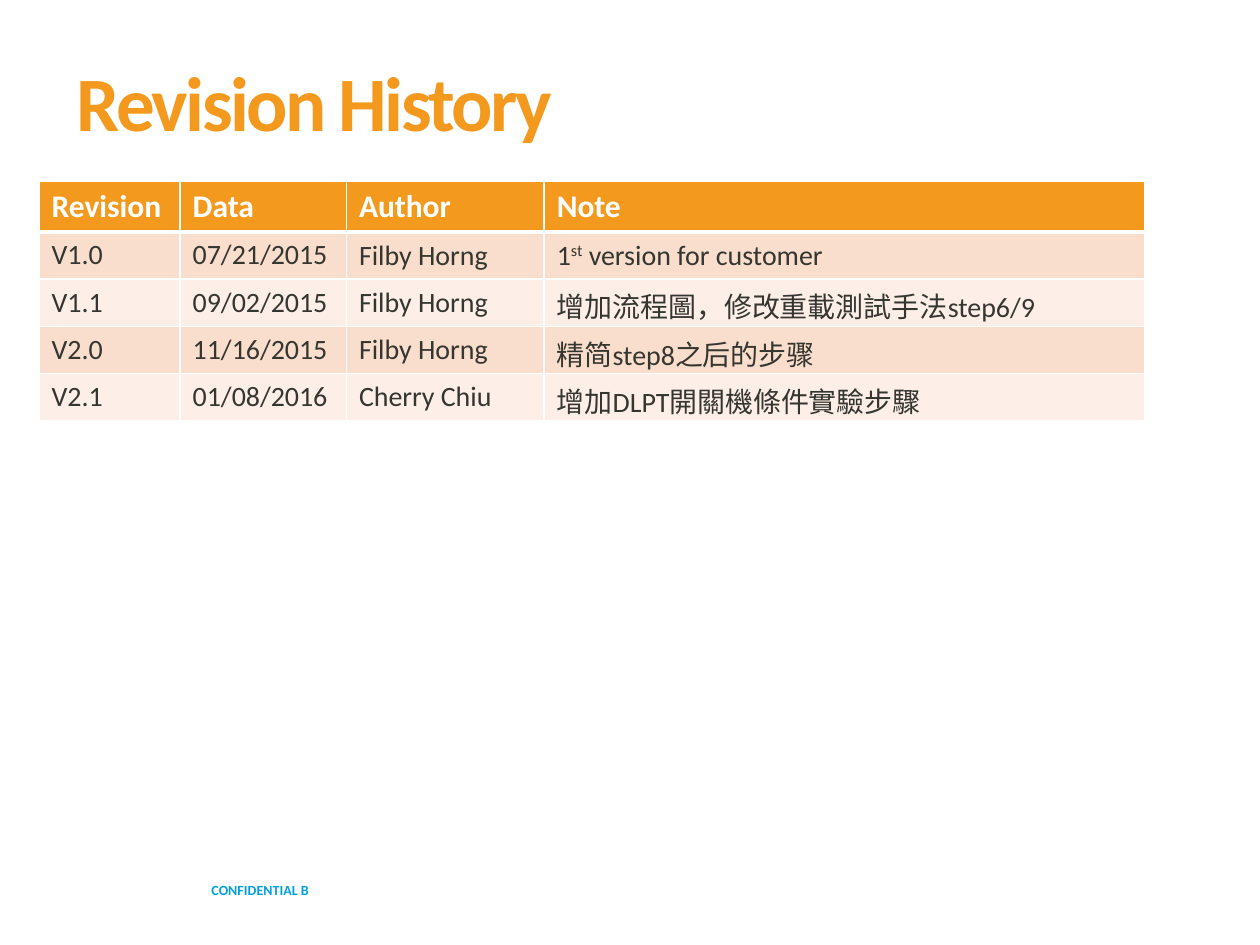
from lxml.etree import SubElement
from pptx import Presentation
from pptx.dml.color import RGBColor
from pptx.enum.text import MSO_ANCHOR
from pptx.oxml.ns import qn
from pptx.util import Inches, Pt

WIDTH, HEIGHT = 10, 7.5
ORANGE, BLUE, DARK, WHITE = "F39A1E", "00A1DE", "353630", "FFFFFF"
BANDS = ("FADECD", "FDEFE8")

COLUMN_WIDTHS = (1.12, 1.32, 1.57, 4.77)
HEADERS = ("Revision", "Data", "Author", "Note")
REVISIONS = (
    ("V1.0", "07/21/2015", "Filby Horng", ("1", "^st", " version for customer")),
    ("V1.1", "09/02/2015", "Filby Horng", "增加流程圖，修改重載測試手法step6/9"),
    ("V2.0", "11/16/2015", "Filby Horng", "精简step8之后的步骤"),
    ("V2.1", "01/08/2016", "Cherry Chiu", "增加DLPT開關機條件實驗步驟"),
)


def rgb(value):
    return RGBColor.from_string(value)


class Deck:
    """Holds the font and the current slide; boxes are shares of the slide."""

    def __init__(self, font="Calibri"):
        self.font = font
        self.prs = Presentation()
        self.prs.slide_width, self.prs.slide_height = Inches(WIDTH), Inches(HEIGHT)
        self.s = self.prs.slides.add_slide(self.prs.slide_layouts[6])

    def box(self, x, y, w, h):
        return (Inches(x * WIDTH), Inches(y * HEIGHT),
                Inches(w * WIDTH), Inches(h * HEIGHT))

    def run(self, p, text, size, color, bold=False):
        r = p.add_run()
        r.text = text.removeprefix("^")
        r.font.name, r.font.size, r.font.bold = self.font, Pt(size), bold
        r.font.color.rgb = rgb(color)
        if text.startswith("^"):  # superscript
            r._r.get_or_add_rPr().set("baseline", "30000")
        return r

    def text(self, box, text, size, color, anchor, line_spacing=None, tracking=0):
        tf = self.s.shapes.add_textbox(*self.box(*box)).text_frame
        tf.word_wrap = True
        tf.vertical_anchor = anchor
        p = tf.paragraphs[0]
        p.line_spacing = line_spacing
        r = self.run(p, text, size, color, bold=True)
        if tracking:
            r._r.get_or_add_rPr().set("spc", str(int(tracking * 100)))

    def border(self, cell, side, width):
        ln = SubElement(cell._tc.get_or_add_tcPr(), qn(f"a:ln{side}"), w=str(Pt(width)))
        fill = SubElement(ln, qn("a:solidFill"))
        SubElement(fill, qn("a:srgbClr"), val=WHITE)

    def cell(self, cell, content, fill, size, color, bold, anchor, top, bottom):
        for side, width in (("L", 1), ("R", 1), ("T", top), ("B", bottom)):
            self.border(cell, side, width)
        cell.fill.solid()
        cell.fill.fore_color.rgb = rgb(fill)
        cell.vertical_anchor = anchor
        for part in (content,) if isinstance(content, str) else content:
            self.run(cell.text_frame.paragraphs[0], part, size, color, bold)

    def table(self, box, widths, headers, rows):
        table = self.s.shapes.add_table(len(rows) + 1, len(widths), *self.box(*box)).table
        for column, width in zip(table.columns, widths):
            column.width = Inches(width)
        # Header row, with a heavy rule below
        for c, label in enumerate(headers):
            self.cell(table.cell(0, c), label, ORANGE, 18, WHITE, True,
                      MSO_ANCHOR.TOP, 1, 3)
        # Banded body; author and note are centred vertically
        for i, row in enumerate(rows):
            for c, content in enumerate(row):
                anchor = MSO_ANCHOR.MIDDLE if c >= 2 else MSO_ANCHOR.TOP
                self.cell(table.cell(i + 1, c), content, BANDS[i % 2], 16, DARK,
                          False, anchor, 3 if i == 0 else 1, 1)


def main():
    deck = Deck()
    # Footer
    deck.text((0.158, 0.915, 0.176, 0.053), "CONFIDENTIAL B", 8, BLUE, MSO_ANCHOR.MIDDLE)
    # Title
    deck.text((0.051, 0.07, 0.9, 0.116), "Revision History", 44, ORANGE,
              MSO_ANCHOR.TOP, line_spacing=0.8, tracking=-1.5)
    # Revision table
    deck.table((0.031, 0.192, 0.879, 0.25), COLUMN_WIDTHS, HEADERS, REVISIONS)
    deck.prs.save("out.pptx")


if __name__ == "__main__":
    main()
